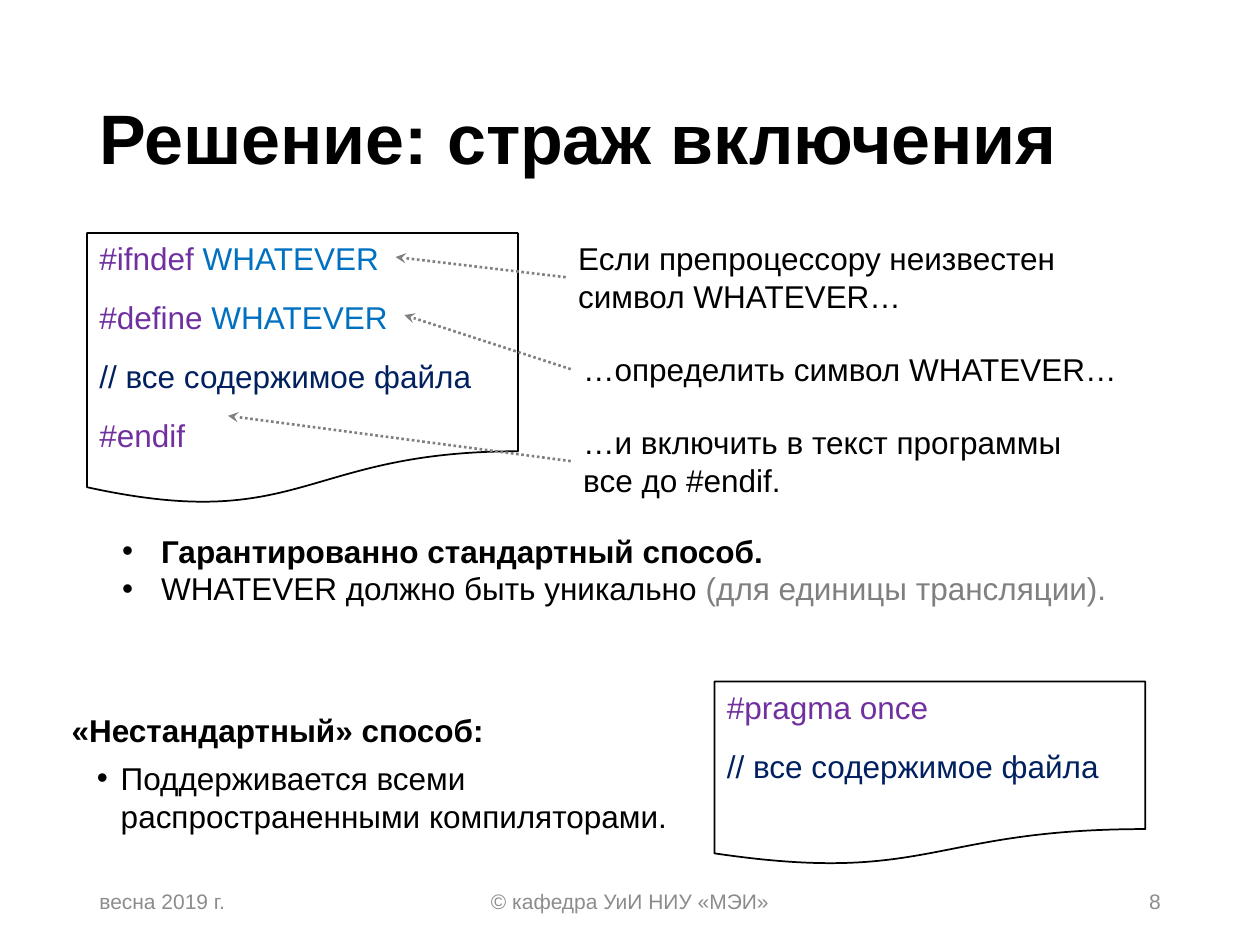
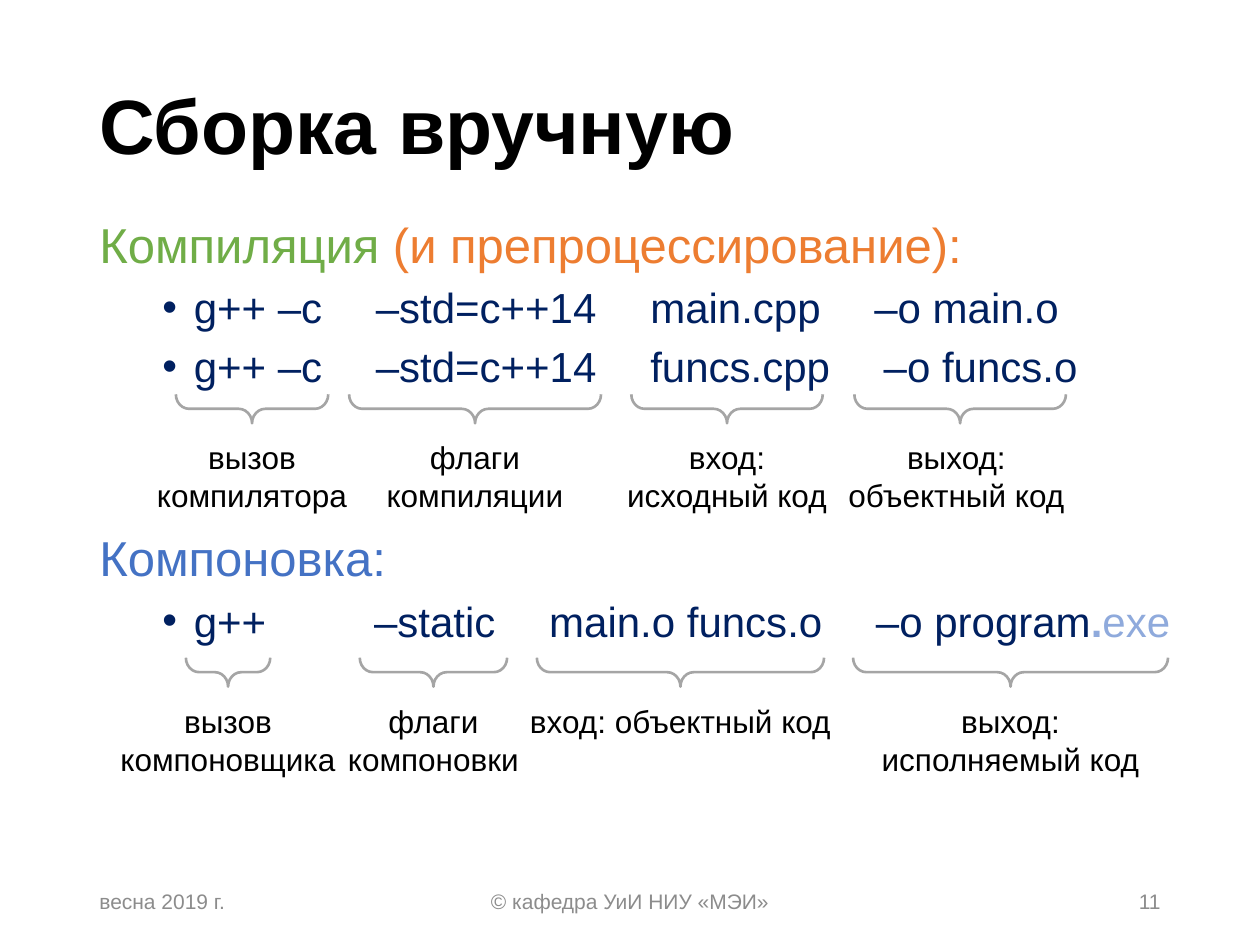
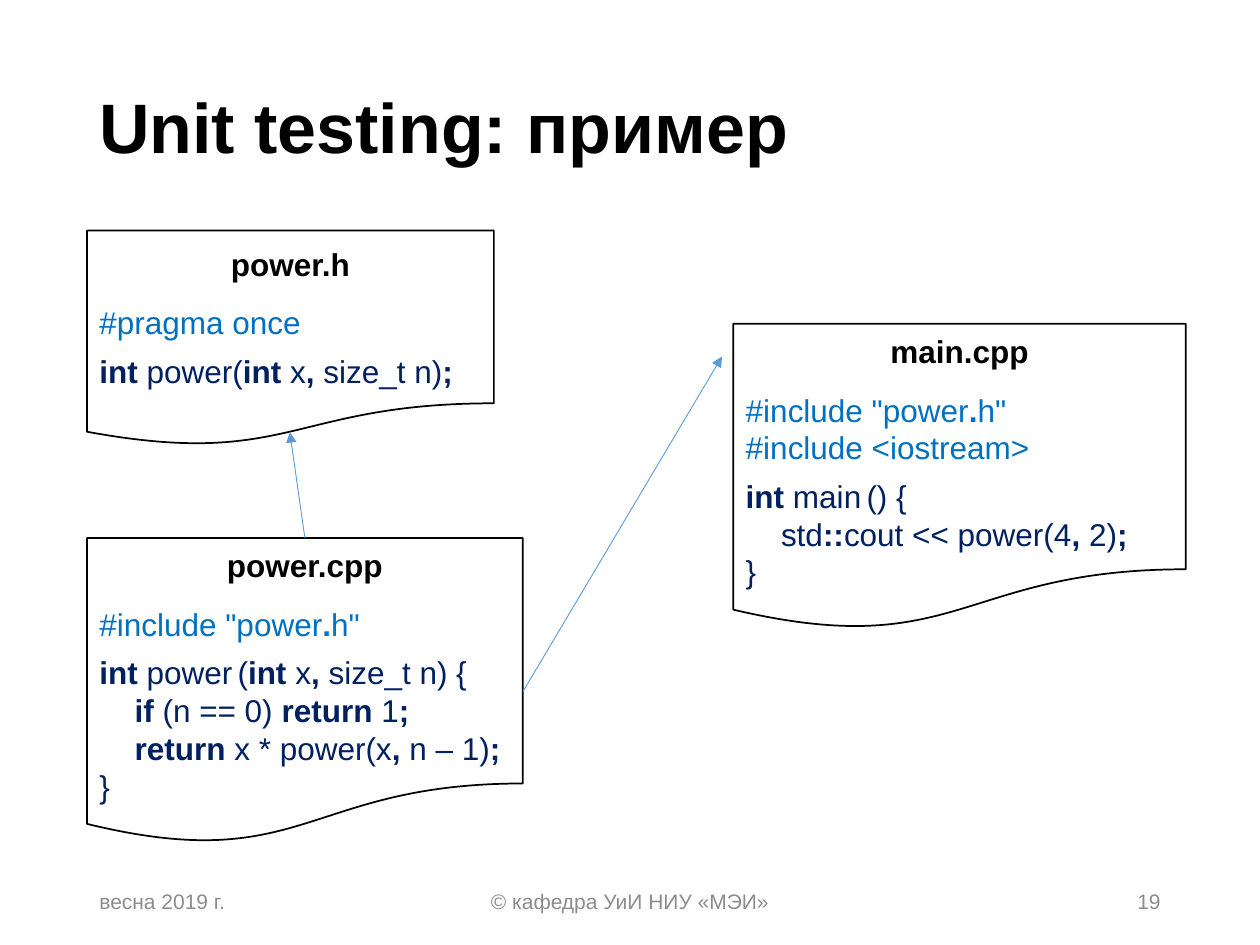
import dataclasses
import itertools

import lxml.etree
import pptx
import pptx.dml.color
import pptx.enum.dml
import pptx.enum.shapes
import pptx.enum.text
import pptx.oxml.ns
import pptx.util

Inches = pptx.util.Inches
Pt = pptx.util.Pt
Align = pptx.enum.text.PP_ALIGN
Anchor = pptx.enum.text.MSO_ANCHOR
Shape = pptx.enum.shapes.MSO_SHAPE

FONT = "Arial"
COLORS = {
    "text": "000000",
    "paper": "FFFFFF",
    "footer": "8C8C8C",
    "muted": "808080",
    "directive": "7030A0",
    "symbol": "0070C0",
    "code": "002060",
    "compile": "70AD47",
    "preprocess": "ED7D31",
    "link": "4472C4",
    "optional": "8FAADC",
    "brace": "A5A5A5",
    "arrow": "5B9BD5",
}


@dataclasses.dataclass
class Span:
    """A piece of text in one style, with letter spacing in points."""
    text: str
    color: str = "text"
    bold: bool = False
    spacing: float = 0


@dataclasses.dataclass
class Line:
    """A paragraph; a hang is the width kept for its bullet."""
    spans: list
    size: float = 18
    align: Align = Align.LEFT
    before: float = 0
    after: float = 0
    left: float = 0
    hang: float = 0
    leading: float = 1


def rgb(name):
    """Return the named colour."""
    return pptx.dml.color.RGBColor.from_string(COLORS[name])


def add_xml(parent, tag, **attributes):
    """Append a drawing element to a parent."""
    return lxml.etree.SubElement(parent, pptx.oxml.ns.qn(tag), attributes)


def add_span(para, span, size):
    """Add the runs of a span, with line breaks at its newlines."""
    for number, text in enumerate(span.text.split("\n")):
        if number:
            para.add_line_break()
        if not text:
            continue
        run = para.add_run()
        run.text = text
        run.font.name, run.font.size, run.font.bold = FONT, Pt(size), span.bold
        run.font.color.rgb = rgb(span.color)
        if span.spacing:
            run.font._element.set("spc", str(round(span.spacing * 100)))


def write(frame, lines, anchor=Anchor.TOP, wrap=True):
    """Fill a text frame with lines."""
    frame.word_wrap = wrap
    frame.vertical_anchor = anchor
    for number, line in enumerate(lines):
        para = frame.add_paragraph() if number else frame.paragraphs[0]
        para.alignment = line.align
        para.line_spacing = line.leading
        para.space_before, para.space_after = Pt(line.before), Pt(line.after)
        properties = para._p.get_or_add_pPr()
        properties.set("marL", str(Inches(line.left)))
        properties.set("indent", str(Inches(-line.hang)))
        if line.hang:
            add_xml(properties, "a:buFont", typeface=FONT)
            add_xml(properties, "a:buChar", char="•")
        for span in line.spans:
            add_span(para, span, line.size)


def add_text(shapes, box, lines, anchor=Anchor.TOP, wrap=True, grow=False):
    """Add a text box in the given box."""
    frame = shapes.add_textbox(*map(Inches, box)).text_frame
    write(frame, lines, anchor, wrap)
    if grow:
        frame.auto_size = pptx.enum.text.MSO_AUTO_SIZE.SHAPE_TO_FIT_TEXT


def add_document(page, box, lines, anchor=Anchor.MIDDLE, wrap=True, top_inset=0.05):
    """Add a source file drawn as a sheet with a wavy edge."""
    sheet = page.shapes.add_shape(Shape.FLOWCHART_DOCUMENT, *map(Inches, box))
    sheet.shadow.inherit = False
    sheet.fill.solid()
    sheet.fill.fore_color.rgb = rgb("paper")
    sheet.line.color.rgb = rgb("text")
    sheet.line.width = Pt(1)
    sheet.text_frame.margin_top = Inches(top_inset)
    write(sheet.text_frame, lines, anchor, wrap)


def add_arrow(page, start, end, color, width, head, dash=None):
    """Add an arrow that points at its end."""
    arrow = page.shapes.add_connector(
        pptx.enum.shapes.MSO_CONNECTOR.STRAIGHT, *map(Inches, start + end))
    arrow.line.color.rgb = rgb(color)
    arrow.line.width = Pt(width)
    if dash:
        arrow.line.dash_style = dash
    add_xml(arrow.line._get_or_add_ln(), "a:tailEnd", type=head)
    add_xml(arrow._element.spPr, "a:effectLst")


def add_brace(page, center, top, span, caption, caption_width, shift=0):
    """Group a downward brace with the caption below it."""
    shapes = page.shapes.add_group_shape().shapes
    depth = 0.23
    caption_box = (center + shift - caption_width / 2, top + 0.3, caption_width, 0.71)
    add_text(shapes, caption_box, [Line([Span(caption)], align=Align.CENTER)])
    upright_box = (center - depth / 2, top + depth / 2 - span / 2, depth, span)
    brace = shapes.add_shape(Shape.RIGHT_BRACE, *map(Inches, upright_box))
    brace.rotation = 90
    brace.adjustments[0], brace.adjustments[1] = 0.458, 0.5
    brace.shadow.inherit = False
    brace.fill.background()
    brace.line.color.rgb = rgb("brace")
    brace.line.width = Pt(1.5)


def add_page(deck, title, number, title_height, title_size=40):
    """Add a page with its title and footer."""
    page = deck.slides.add_slide(deck.slide_layouts[6])
    heading = Line([Span(title, bold=True)], size=title_size, leading=0.9)
    add_text(page.shapes, (0.69, 0.4, 8.62, title_height), [heading], Anchor.MIDDLE)
    footers = (
        (0.69, 2.25, Align.LEFT, "весна 2019 г."),
        (3.31, 3.38, Align.CENTER, "© кафедра УиИ НИУ «МЭИ»"),
        (7.06, 2.25, Align.RIGHT, str(number)),
    )
    for left, width, align, text in footers:
        line = Line([Span(text, "footer")], size=12, align=align)
        add_text(page.shapes, (left, 6.95, width, 0.4), [line], Anchor.MIDDLE)
    return page


def alternate(color, *texts, bold=True):
    """Make spans that switch between bold and regular."""
    weights = itertools.cycle((bold, not bold))
    return [Span(text, color, weight) for text, weight in zip(texts, weights)]


def code(*texts, bold=True):
    """Make code spans that switch between keyword and regular weight."""
    return alternate("code", *texts, bold=bold)


def command(*parts, gaps=(24, 24, 24)):
    """Make command spans, with each gap a widened space."""
    spans = [Span(parts[0], "code")]
    for gap, part in zip(gaps, parts[1:]):
        spans += [Span(" ", "code", spacing=gap), Span(part, "code")]
    return spans


def build_guard_page(deck):
    """Build the page on include guards."""
    page = add_page(deck, "Решение: страж включения", 8, 1.45)
    content = Line([Span("// все содержимое файла", "code")], after=12)
    guard = [
        Line([Span(f"#{word} ", "directive"), Span("WHATEVER", "symbol")], after=12)
        for word in ("ifndef", "define")
    ]
    ending = Line([Span("#endif", "directive")], after=12)
    add_document(page, (0.69, 1.85, 3.42, 2.16), guard + [content, ending], Anchor.TOP)
    pragma = Line([Span("#pragma once", "directive")], after=12)
    add_document(page, (5.67, 5.41, 3.42, 1.46), [pragma, content], Anchor.TOP)

    notes = (
        ((4.49, 1.85, 4.09, 0.71), "Если препроцессору неизвестен \nсимвол WHATEVER…",
         (4.49, 2.2), (3.14, 2.04)),
        ((4.53, 2.73, 4.44, 0.4), "…определить символ WHATEVER…",
         (4.53, 2.93), (3.21, 2.5)),
        ((4.53, 3.31, 4.11, 0.71), "…и включить в текст программы \nвсе до #endif.",
         (4.53, 3.66), (1.81, 3.3)),
    )
    for box, text, start, end in notes:
        add_text(page.shapes, box, [Line([Span(text)])], wrap=False, grow=True)
        add_arrow(page, start, end, "muted", 1.5, "stealth",
                  pptx.enum.dml.MSO_LINE.ROUND_DOT)

    add_text(page.shapes, (0.47, 5.59, 5, 1.09), [
        Line([Span("«Нестандартный» способ:", bold=True)], after=6),
        Line([Span("Поддерживается всеми\nраспространенными компиляторами.")],
             left=0.39, hang=0.19),
    ], grow=True)
    add_text(page.shapes, (0.87, 4.17, 8.21, 0.71), [
        Line([Span("Гарантированно стандартный способ.", bold=True)], left=0.31, hang=0.31),
        Line([Span("WHATEVER должно быть уникально"),
              Span(" (для единицы трансляции).", "muted")], left=0.31, hang=0.31),
    ], wrap=False, grow=True)


def build_commands_page(deck):
    """Build the page on compiling and linking by hand."""
    page = add_page(deck, "Сборка вручную", 11, 1.25, 44)
    commands = [
        command("g++ –c", "–std=c++14", f"{name}.cpp", f"–o {name}.o")
        for name in ("main", "funcs")
    ]
    commands.append(
        command("g++", "–static", "main.o funcs.o", "–o program", gaps=(55, 24, 24))
        + alternate("optional", ".", "exe"))
    lines = [Line(spans, size=24, before=5, left=0.75, hang=0.25) for spans in commands]
    compiling = Line([Span("Компиляция ", "compile"),
                      Span("(и препроцессирование):", "preprocess")], size=28, before=10)
    linking = Line([Span("Компоновка:", "link")], size=28, before=78)
    add_text(page.shapes, (0.69, 1.65, 8.96, 4.64),
             [compiling, *lines[:2], linking, lines[2]])

    rows = {
        3.13: (
            (2, 1.21, "вызов компилятора", 1.83),
            (3.77, 2, "флаги компиляции", 1.83),
            (5.77, 1.52, "вход: исходный код", 1.83),
            (7.62, 1.68, "выход: объектный код", 1.92, -0.03),
        ),
        5.22: (
            (1.81, 0.67, "вызов компоновщика", 2.1),
            (3.44, 1.17, "флаги компоновки", 1.83),
            (5.4, 2.28, "вход: объектный код", 2.75),
            (8.02, 2.5, "выход: исполняемый код", 2.37),
        ),
    }
    for top, braces in rows.items():
        for center, *details in braces:
            add_brace(page, center, top, *details)


def file_name(name):
    """Make the heading line of a source file."""
    return Line([Span(name, bold=True)], align=Align.CENTER, after=12)


def build_example_page(deck):
    """Build the page with the three files of the example."""
    page = add_page(deck, "Unit testing: пример", 19, 1.27)
    include = alternate("symbol", '#include "power', ".", 'h"', bold=False)
    add_document(page, (0.69, 1.83, 3.23, 1.71), [
        file_name("power.h"),
        Line([Span("#pragma once", "symbol")], after=6),
        Line(code("int", " power(", "int", " x", ", ", "size_t n)", ";")),
    ])
    add_document(page, (0.69, 4.27, 3.46, 2.43), [
        file_name("power.cpp"),
        Line(include, after=6),
        Line(code("int", " powe") + [Span("r", "code", spacing=3)]
             + code("(", "int", " x", ", ", "size_t n) {", bold=False)),
        Line(code("if", " (n == 0) ", "return", " 1", ";"), left=0.28),
        Line(code("return", " x * power(x", ",", " n – 1)", ";"), left=0.28),
        Line(code("}", bold=False)),
    ], wrap=False, top_inset=0.28)
    add_arrow(page, (2.42, 4.27), (2.3, 3.43), "arrow", 0.5, "triangle")
    add_document(page, (5.82, 2.57, 3.59, 2.43), [
        file_name("main.cpp"),
        Line(include + [Span("\n#include <iostream>", "symbol")], after=6),
        Line(code("int", " mai") + [Span("n", "code", spacing=3)]
             + code("() {", bold=False)),
        Line(code("std", "::", "cout << power(4", ",", " 2)", ";", bold=False), left=0.28),
        Line(code("}", bold=False)),
    ], wrap=False, top_inset=0.28)
    add_arrow(page, (4.15, 5.49), (5.73, 2.83), "arrow", 0.5, "triangle")


def main():
    """Build and save the deck."""
    deck = pptx.Presentation()
    deck.slide_width, deck.slide_height = Inches(10), Inches(7.5)
    build_guard_page(deck)
    build_commands_page(deck)
    build_example_page(deck)
    deck.save("out.pptx")


if __name__ == "__main__":
    main()
